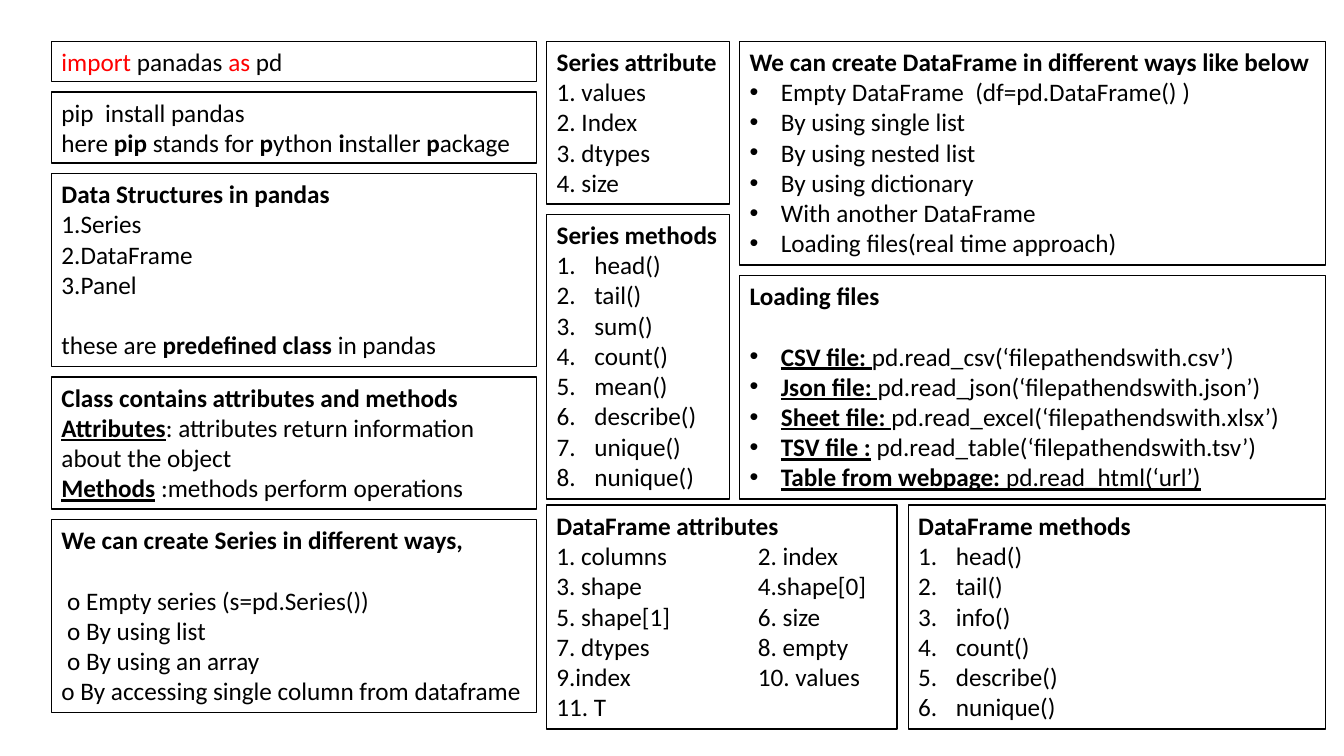
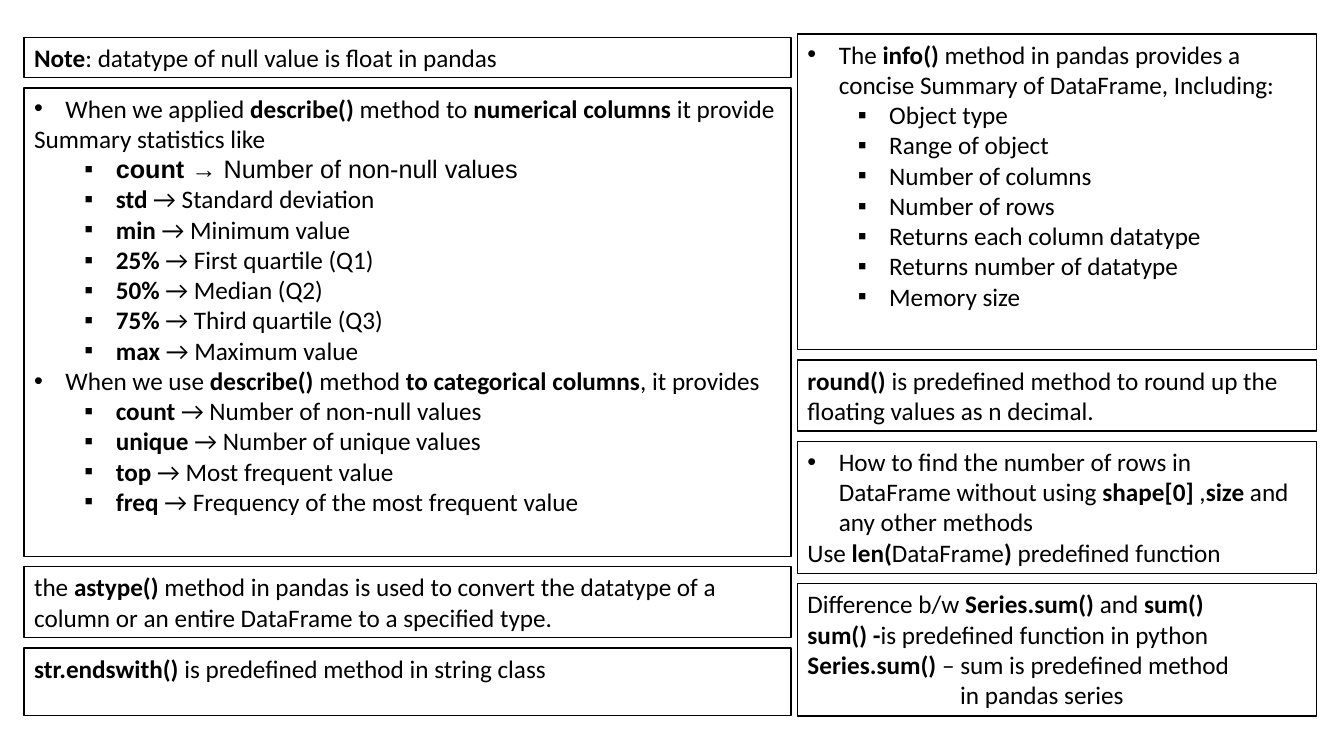
import dataclasses
import typing

import lxml.etree
import pptx
import pptx.dml.color
import pptx.enum.text
import pptx.oxml.ns
import pptx.util

Cm = pptx.util.Cm
Pt = pptx.util.Pt
BLACK = pptx.dml.color.RGBColor(0x00, 0x00, 0x00)
WHITE = pptx.dml.color.RGBColor(0xFF, 0xFF, 0xFF)
RED = pptx.dml.color.RGBColor(0xFF, 0x00, 0x00)

LINE = 0.77  # height of a text line, cm
PAD = 0.25   # top and bottom inset together, cm
GAP = 0.26   # space between stacked boxes, cm
SKIP = Pt(21.6)
FRAME = {
    "word_wrap": True,
    "auto_size": pptx.enum.text.MSO_AUTO_SIZE.NONE,
    "vertical_anchor": pptx.enum.text.MSO_ANCHOR.TOP,
    "margin_right": Cm(0.2),
}


@dataclasses.dataclass(frozen=True)
class Mark:
    """Paragraph indent with an optional bullet, number or tab width."""
    left: float = 0
    hang: float = 0
    tag: str = ""
    key: str = ""
    val: str = ""
    tab: float = 0


PLAIN = Mark()
DOT = Mark(0.79, 0.79, "buChar", "char", "•")
SQUARE = Mark(2.06, 0.79, "buChar", "char", "▪")
COUNT = Mark(0.95, 0.95, "buAutoNum", "type", "arabicPeriod")
PAIRS = Mark(tab=5.08)
DEEP = Mark(left=3.85)


@dataclasses.dataclass(frozen=True)
class Row:
    text: str
    mark: Mark = PLAIN
    skip: bool = False
    font: str = "Calibri"


@dataclasses.dataclass(frozen=True)
class Box:
    lines: float
    rows: list[Row]


@dataclasses.dataclass(frozen=True)
class Stack:
    left: float
    top: float
    width: float
    boxes: list[Box]


def rows(*texts: str, mark: Mark = PLAIN) -> list[Row]:
    return [Row(text, mark) for text in texts]


def split(text: str) -> typing.Iterator[tuple[str, frozenset[str]]]:
    """Yield pieces with their styles: * bold, ~ underline, ^ red."""
    styles: frozenset[str] = frozenset()
    piece = ""
    for char in text:
        if char in "*~^":
            if piece:
                yield piece, styles
            styles, piece = styles ^ {char}, ""
        else:
            piece += char
    if piece:
        yield piece, styles


def add_tag(props: typing.Any, tag: str, **attrs: str) -> None:
    lxml.etree.SubElement(props, pptx.oxml.ns.qn("a:" + tag), attrs)


def set_mark(para: typing.Any, mark: Mark) -> None:
    props = para._p.get_or_add_pPr()
    sizes = {"marL": mark.left, "indent": -mark.hang, "defTabSz": mark.tab}
    for key, size in sizes.items():
        if size:
            props.set(key, str(Cm(size)))
    if mark.tag:
        add_tag(props, "buFont", typeface="Arial" if mark.tag == "buChar" else "+mj-lt")
        add_tag(props, mark.tag, **{mark.key: mark.val})


def draw_row(para: typing.Any, row: Row) -> None:
    if row.skip:
        para.space_before = SKIP
    set_mark(para, row.mark)
    for text, styles in split(row.text):
        run = para.add_run()
        run.text = text
        look = {"name": row.font, "size": Pt(18),
                "bold": "*" in styles, "underline": "~" in styles}
        for key, val in look.items():
            setattr(run.font, key, val)
        run.font.color.rgb = RED if "^" in styles else BLACK


def draw_box(slide: typing.Any, stack: Stack, top: float, high: float, box: Box) -> None:
    shape = slide.shapes.add_textbox(Cm(stack.left), Cm(top), Cm(stack.width), Cm(high))
    shape.fill.solid()
    shape.fill.fore_color.rgb = WHITE
    shape.line.color.rgb = BLACK
    shape.line.width = Pt(1)
    frame = shape.text_frame
    for key, val in FRAME.items():
        setattr(frame, key, val)
    for at, row in enumerate(box.rows):
        draw_row(frame.add_paragraph() if at else frame.paragraphs[0], row)


def draw_stack(slide: typing.Any, stack: Stack) -> None:
    top = stack.top
    for box in stack.boxes:
        high = box.lines * LINE + PAD
        draw_box(slide, stack, top, high, box)
        top += high + GAP


BASICS = [
    Stack(1.3, 1.04, 12.22, [
        Box(1, rows("^import^ panadas ^as^ pd")),
        Box(2, rows("pip  install pandas",
                    "here *pip* stands for *p*ython *i*nstaller *p*ackage")),
        Box(6, rows("*Data Structures in pandas*", "1.Series", "2.DataFrame", "3.Panel")
            + [Row("these are *predefined class *in pandas", skip=True)]),
        Box(4, rows("*Class contains attributes and methods*",
                    "*~Attributes~*: attributes return information about the object",
                    "*~Methods~* :methods perform operations")),
        Box(6, [Row("*We can create Series in different ways,*"),
                Row(" o Empty series (s=pd.Series())", skip=True)]
            + rows(" o By using list", " o By using an array",
                   "o By accessing single column from dataframe")),
    ]),
    Stack(13.78, 1.04, 4.6, [
        Box(5, rows("*Series attribute*", "1. values", "2. Index", "3. dtypes", "4. size")),
        Box(9, rows("*Series methods*")
            + rows("head()", "tail()", "sum()", "count()", "mean()", "describe()",
                   "unique()", "nunique()", mark=COUNT)),
    ]),
    Stack(18.64, 1.04, 14.76, [
        Box(7, rows("*We can create DataFrame in different ways like below*")
            + rows("Empty DataFrame  (df=pd.DataFrame() )", "By using single list",
                   "By using nested list", "By using dictionary", "With another DataFrame",
                   "Loading files(real time approach)", mark=DOT)),
        Box(7, [Row("*Loading files*"),
                Row("*~CSV file: ~*pd.read_csv(‘filepathendswith.csv’)", DOT, skip=True)]
            + rows("*~Json file: ~*pd.read_json(‘filepathendswith.json’)",
                   "*~Sheet file: ~*pd.read_excel(‘filepathendswith.xlsx’)",
                   "*~TSV file :~* pd.read_table(‘filepathendswith.tsv’)",
                   "*~Table from webpage: *pd.read_html(‘url’)~", mark=DOT)),
    ]),
    Stack(13.77, 12.73, 8.84, [
        Box(7, rows("*DataFrame attributes*")
            + rows("1. columns\t2. index", "3. shape\t4.shape[0]", "5. shape[1]\t6. size",
                   "7. dtypes\t8. empty", "9.index\t10. values", "11. T", mark=PAIRS)),
    ]),
    Stack(22.89, 12.73, 10.52, [
        Box(7, rows("*DataFrame methods*")
            + rows("head()", "tail()", "info()", "count()", "describe()", "nunique()",
                   mark=COUNT)),
    ]),
]

NOTES = [
    Stack(0.61, 0.94, 19.33, [
        Box(1, rows("*Note*: datatype of null value is float in pandas")),
        Box(15, [
            Row("When we applied *describe() *method to *numerical columns *it provide", DOT),
            Row("Summary statistics like"),
            Row("*count *→ Number of non-null values", SQUARE, font="Arial"),
            *rows("*std* → Standard deviation", "*min* → Minimum value",
                  "*25%* → First quartile (Q1)", "*50%* → Median (Q2)",
                  "*75%* → Third quartile (Q3)", "*max* → Maximum value", mark=SQUARE),
            Row("When we use *describe() *method *to categorical columns*, it provides", DOT),
            *rows("*count* → Number of non-null values",
                  "*unique* → Number of unique values", "*top* → Most frequent value",
                  "*freq* → Frequency of the most frequent value", mark=SQUARE),
        ]),
        Box(2, rows("the *astype() *method in pandas is used to convert the datatype of a",
                    "column or an entire DataFrame to a specified type.")),
        Box(1.88, rows("*str.endswith() *is predefined method in string class")),
    ]),
    Stack(20.1, 0.86, 13.08, [
        Box(10, [Row("The *info() *method in pandas provides a concise Summary of DataFrame, "
                     "Including:", DOT)]
            + rows("Object type", "Range of object", "Number of columns", "Number of rows",
                   "Returns each column datatype", "Returns number of datatype",
                   "Memory size", mark=SQUARE)),
        Box(2, rows("*round() *is predefined method to round up the",
                    "floating values as n decimal.")),
        Box(4, [Row("How to find the number of rows in DataFrame without using "
                    "*shape[0]* ,*size *and any other methods", DOT),
                Row("Use *len(*DataFrame*)* predefined function")]),
        Box(4, rows("Difference b/w *Series.sum() *and* sum()*",
                    "*sum() -*is predefined function in python",
                    "*Series.sum() *– sum is predefined method")
            + [Row("in pandas series", DEEP)]),
    ]),
]


def main() -> None:
    deck = pptx.Presentation()
    deck.slide_width, deck.slide_height = Cm(33.87), Cm(19.05)
    for stacks in (BASICS, NOTES):
        slide = deck.slides.add_slide(deck.slide_layouts[6])
        for stack in stacks:
            draw_stack(slide, stack)
    deck.save("out.pptx")


if __name__ == "__main__":
    main()
